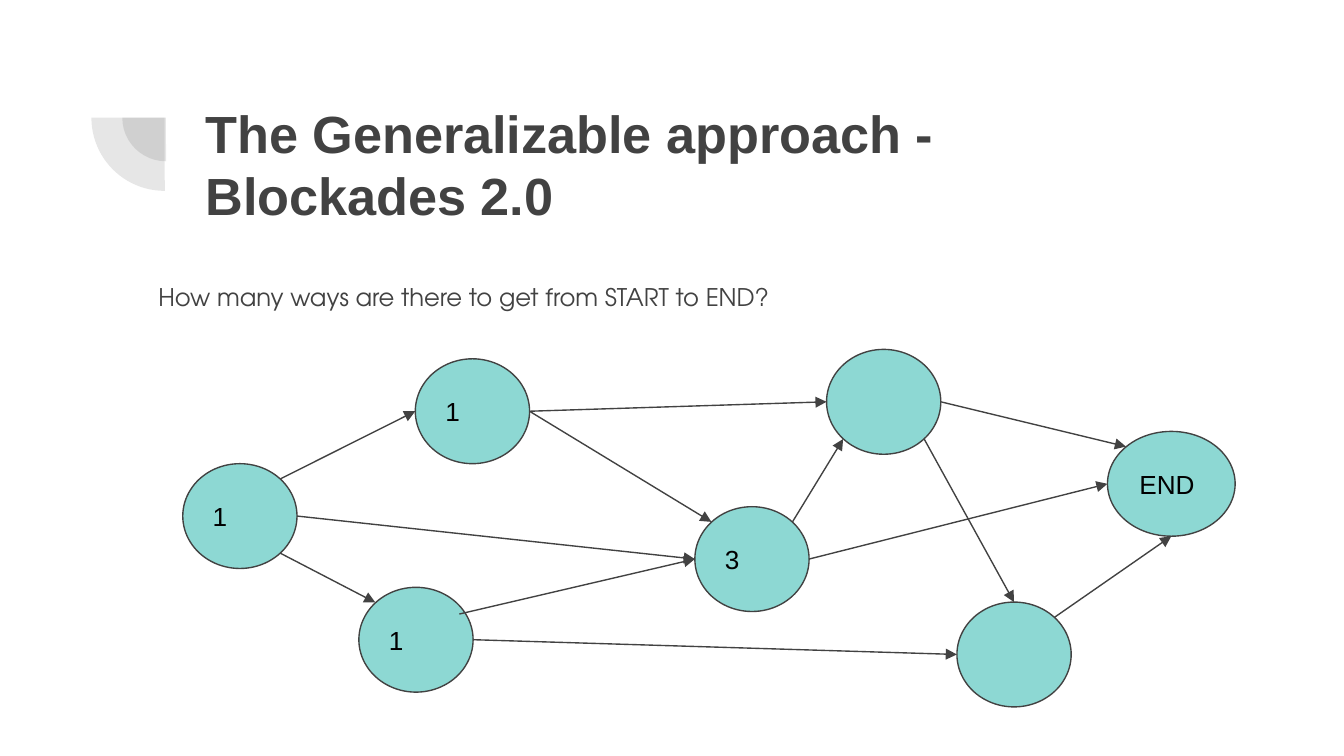
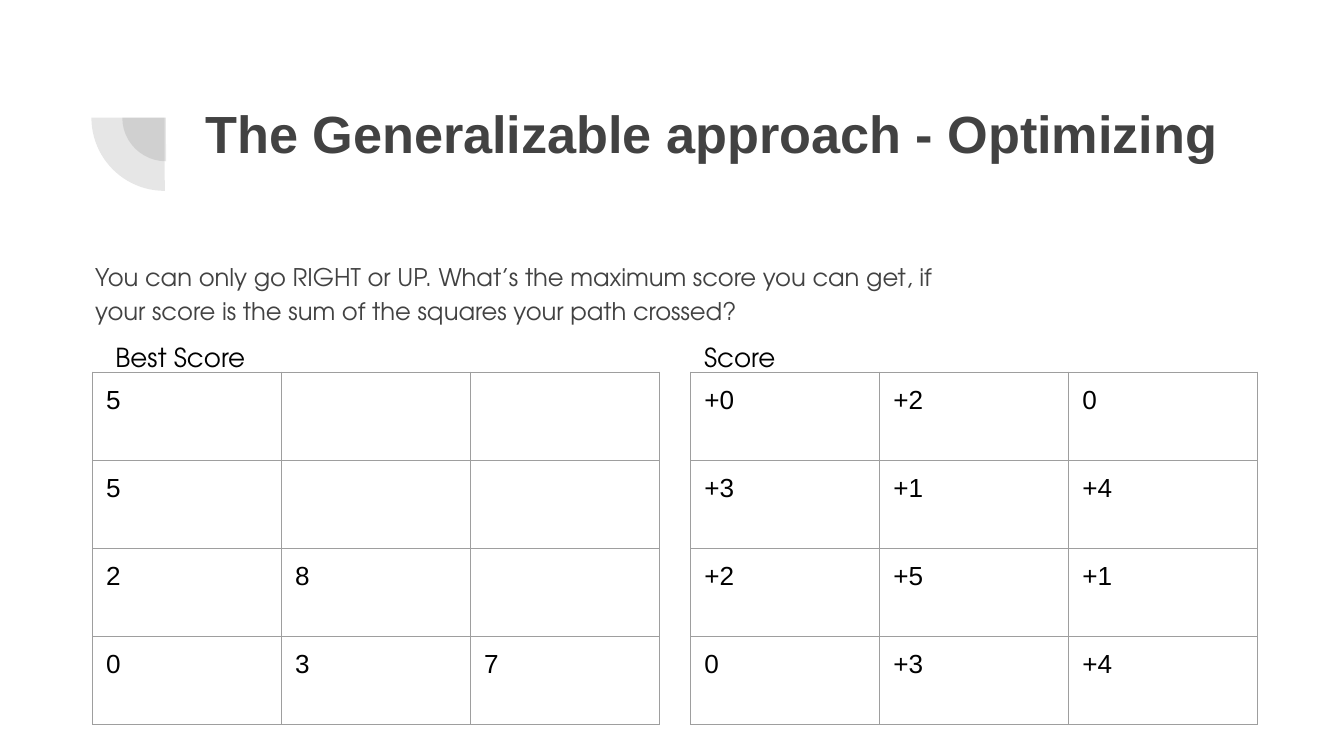
from lxml.etree import SubElement
from pptx import Presentation
from pptx.dml.color import RGBColor
from pptx.enum.shapes import MSO_CONNECTOR, MSO_SHAPE
from pptx.enum.text import MSO_ANCHOR, PP_ALIGN
from pptx.oxml.ns import qn
from pptx.util import Inches, Pt

COLORS = {
    "dark": "424242",
    "node": "8DD8D3",
    "black": "000000",
    "border": "9E9E9E",
}
HEADING_FONT = "Arial"
BODY_FONT = "TeX Gyre Adventor"


def write(frame, text, size, font, color, bold=False):
    frame.word_wrap = True
    frame.margin_left = frame.margin_right = Inches(0.1)
    frame.margin_top = frame.margin_bottom = Inches(0.1)
    paragraph = frame.paragraphs[0]
    paragraph.text = text
    paragraph.alignment = PP_ALIGN.LEFT
    paragraph.font.size = Pt(size)
    paragraph.font.name = font
    paragraph.font.bold = bold
    paragraph.font.color.rgb = RGBColor.from_string(COLORS[color])
    return paragraph


def add_text(slide, box, text, size, font, color, bold=False):
    shape = slide.shapes.add_textbox(*map(Inches, box))
    return write(shape.text_frame, text, size, font, color, bold)


presentation = Presentation()
presentation.slide_width = Inches(10)
presentation.slide_height = Inches(10 * 9 / 16)

pages = [
    ("The Generalizable approach - Blockades 2.0", 5.7,
     "How many ways are there to get from START to END?", (1.08, 1.97, 6.66, 0.55)),
    ("The Generalizable approach - Optimizing", 7.93,
     "You can only go RIGHT or UP. What’s the maximum score you can get, "
     "if your score is the sum of the squares your path crossed?", (0.61, 1.82, 6.51, 0.55)),
]
slides = []
for title, title_width, question, question_box in pages:
    slide = presentation.slides.add_slide(presentation.slide_layouts[6])
    slides.append(slide)
    for left, top, diameter in [(0.91, 0.55, 0.65), (0.68, 0.33, 1.09)]:
        pie = slide.shapes.add_shape(MSO_SHAPE.PIE, Inches(left), Inches(top),
                                     Inches(diameter), Inches(diameter))
        pie.adjustments[0] = 107.93
        pie.adjustments[1] = 162
        pie.rotation = 270
        pie.shadow.inherit = False
        pie.line.fill.background()
        pie.fill.solid()
        pie.fill.fore_color.rgb = RGBColor.from_string(COLORS["dark"])
        color = pie.fill._xPr.find(qn("a:solidFill"))[0]
        SubElement(color, qn("a:alpha"), val="13000")
    add_text(slide, (1.43, 0.65, title_width, 1.09), title, 28, HEADING_FONT, "dark", True)
    paragraph = add_text(slide, question_box, question, 13, BODY_FONT, "dark")
    paragraph.line_spacing = 1.15
    paragraph.space_after = Pt(16)

graph_slide, score_slide = slides

NODE_HEIGHT = 0.78
nodes = {
    "start": (1.36, 3.45, 0.85, "1"),
    "lower right": (7.12, 4.48, 0.85, ""),
    "upper right": (6.15, 2.6, 0.85, ""),
    "middle": (5.17, 3.77, 0.85, "3"),
    "lower left": (2.67, 4.37, 0.85, "1"),
    "upper left": (3.09, 2.67, 0.85, "1"),
    "end": (8.24, 3.21, 0.95, "END"),
}
for left, top, width, label in nodes.values():
    node = graph_slide.shapes.add_shape(MSO_SHAPE.OVAL, Inches(left), Inches(top),
                                        Inches(width), Inches(NODE_HEIGHT))
    node.shadow.inherit = False
    node.fill.solid()
    node.fill.fore_color.rgb = RGBColor.from_string(COLORS["node"])
    node.line.color.rgb = RGBColor.from_string(COLORS["dark"])
    node.line.width = Pt(0.75)
    node.text_frame.vertical_anchor = MSO_ANCHOR.MIDDLE
    if label:
        write(node.text_frame, label, 14, HEADING_FONT, "black")

rim = {
    "W": (-1, 0), "E": (1, 0), "N": (0, -1), "S": (0, 1),
    "NW": (-0.71, -0.71), "NE": (0.71, -0.71),
    "SW": (-0.71, 0.71), "SE": (0.71, 0.71),
    "inner NE": (0.76, -0.49),
}
edges = [
    ("start", "NE", "upper left", "W"),
    ("upper left", "E", "middle", "NW"),
    ("start", "SE", "lower left", "NW"),
    ("start", "E", "middle", "W"),
    ("lower left", "inner NE", "middle", "W"),
    ("upper left", "E", "upper right", "W"),
    ("lower left", "E", "lower right", "W"),
    ("middle", "E", "end", "W"),
    ("lower right", "NE", "end", "S"),
    ("upper right", "E", "end", "NW"),
    ("middle", "NE", "upper right", "SW"),
    ("upper right", "SE", "lower right", "N"),
]
for source, source_side, target, target_side in edges:
    points = []
    for name, side in [(source, source_side), (target, target_side)]:
        left, top, width, label = nodes[name]
        across, down = rim[side]
        points += [Inches(left + width / 2 * (1 + across)),
                   Inches(top + NODE_HEIGHT / 2 * (1 + down))]
    arrow = graph_slide.shapes.add_connector(MSO_CONNECTOR.STRAIGHT, *points)
    arrow.line.color.rgb = RGBColor.from_string(COLORS["dark"])
    arrow.line.width = Pt(0.75)
    SubElement(arrow.line._get_or_add_ln(), qn("a:tailEnd"), type="triangle")
    SubElement(arrow._element.spPr, qn("a:effectLst"))

TABLE_WIDTH, TABLE_HEIGHT = 4.22, 2.62
grids = [
    (5.14, "Score", 5.14,
     [["+0", "+2", "0"], ["+3", "+1", "+4"], ["+2", "+5", "+1"], ["0", "+3", "+4"]]),
    (0.69, "Best Score", 0.76,
     [["5", "", ""], ["5", "", ""], ["2", "8", ""], ["0", "3", "7"]]),
]
for left, heading, heading_left, rows in grids:
    table = score_slide.shapes.add_table(
        len(rows), len(rows[0]), Inches(left), Inches(2.77),
        Inches(TABLE_WIDTH), Inches(TABLE_HEIGHT)).table
    table.first_row = False
    table.horz_banding = False
    for row, values in zip(table.rows, rows):
        for cell, value in zip(row.cells, values):
            write(cell.text_frame, value, 14, HEADING_FONT, "black")
            cell.margin_left = cell.margin_right = Inches(0.1)
            cell.margin_top = cell.margin_bottom = Inches(0.1)
            properties = cell._tc.get_or_add_tcPr()
            for edge in ["lnL", "lnR", "lnT", "lnB"]:
                border = SubElement(properties, qn(f"a:{edge}"), w=str(Pt(0.75)))
                fill = SubElement(border, qn("a:solidFill"))
                SubElement(fill, qn("a:srgbClr"), val=COLORS["border"])
            cell.fill.background()
    add_text(score_slide, (heading_left, 2.44, 3.55, 0.25), heading, 14, BODY_FONT, "black")

presentation.save("out.pptx")
